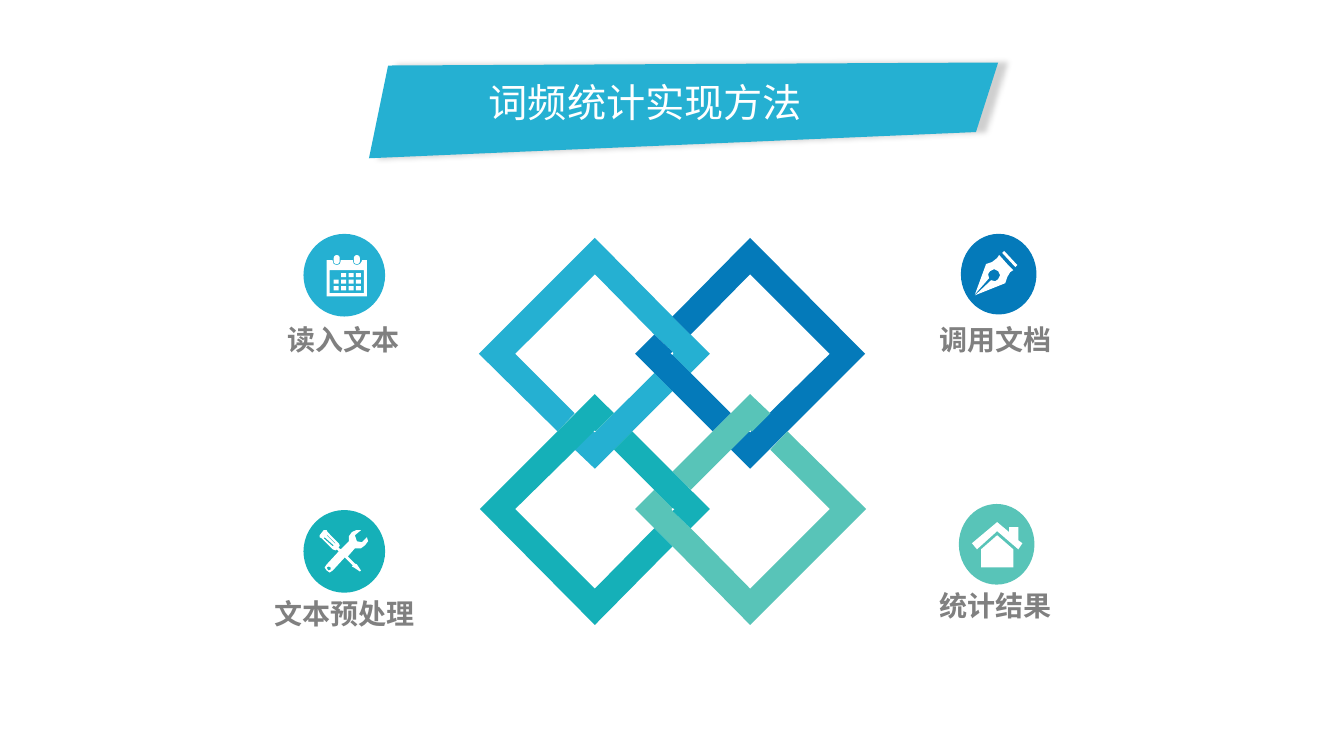
from lxml import etree
from pptx import Presentation
from pptx.dml.color import RGBColor
from pptx.enum import shapes, text
from pptx.oxml import ns
from pptx.util import Cm, Pt

INCH = 2.54
FONT = "Noto Sans CJK SC"
HUES = {
    "sky": "25B0D2", "blue": "047ABA", "mint": "58C4B8", "teal": "15B0B8",
    "white": "FFFFFF", "gray": "808080", "black": "000000",
}

BANNER = [[(385, 65), (366, 157), (968, 131), (990, 62)]]
UPPER_LEFT = [
    [(704, 351), (685, 370), (667, 352), (668, 351), (667, 349), (649, 332),
     (590, 272), (511, 351), (570, 410), (553, 428), (475, 351), (590, 236),
     (667, 314), (685, 332)],
    [(609, 410), (591, 428), (590, 429), (588, 428), (570, 446), (590, 465),
     (609, 446), (627, 428), (667, 388), (649, 370)],
]
UPPER_RIGHT = [
    [(725, 410), (707, 428), (667, 388), (649, 370), (630, 351), (649, 332),
     (667, 349), (665, 351), (667, 352), (685, 370)],
    [(744, 236), (667, 314), (685, 332), (744, 272), (823, 351), (763, 410),
     (745, 428), (744, 429), (743, 428), (725, 446), (744, 465), (763, 446),
     (781, 428), (858, 351)],
]
NIB = [[(999, 262), (991, 253), (989, 256), (984, 260), (978, 262), (967, 292),
        (981, 276), (980, 272), (982, 269), (986, 267), (990, 269), (992, 273),
        (990, 277), (987, 279), (983, 278), (967, 293), (997, 281), (999, 275),
        (1002, 270), (1005, 268)]]
CAP = [[(996, 249), (1009, 263), (1007, 265), (994, 251)]]
HOUSE = [[(973, 545), (973, 563), (1005, 563), (1005, 545), (989, 531)]]
ROOF = [[(1010, 536), (1010, 523), (1001, 523), (1001, 528), (989, 518),
         (964, 539), (969, 545), (989, 527), (1010, 545), (1014, 539)]]
PAGE = [
    [(364, 258), (359, 258), (359, 259), (357, 262), (354, 263), (351, 262),
     (350, 259), (350, 258), (338, 258), (338, 259), (337, 262), (334, 263),
     (331, 262), (330, 259), (330, 258), (324, 258), (324, 294), (364, 294)],
    [(361, 291), (327, 291), (327, 268), (361, 268)],
]
TOOLS = [
    [(317, 531), (321, 526), (324, 526), (325, 528), (336, 539), (337, 541),
     (336, 543), (335, 543), (338, 545), (346, 537), (346, 532), (349, 528),
     (353, 526), (358, 526), (352, 531), (354, 537), (359, 538), (364, 533),
     (365, 537), (362, 541), (358, 544), (352, 544), (345, 552), (352, 559),
     (354, 560), (358, 566), (357, 567), (351, 563), (349, 562), (350, 561),
     (342, 553), (330, 566), (327, 568), (324, 566), (322, 563), (324, 560),
     (336, 547), (334, 545), (333, 546), (330, 545), (319, 534), (317, 533)],
    [(326, 562), (324, 563), (325, 565), (326, 566), (328, 565), (328, 563)],
    [(332, 539), (333, 539), (325, 531), (324, 531)],
    [(330, 542), (331, 541), (322, 533), (321, 534)],
]


def inch(size):
    return Cm(size * INCH)


def paint(item, hue):
    item.shadow.inherit = False
    item.fill.solid()
    item.fill.fore_color.rgb = RGBColor.from_string(HUES[hue])
    item.line.fill.background()
    return item


def outline(slide, loops, hue):
    pen = slide.shapes.build_freeform(*loops[0][0], scale=inch(0.01))
    for loop in loops:
        pen.move_to(*loop[0])
        pen.add_line_segments(loop[1:], close=True)
    return paint(pen.convert_to_shape(), hue)


def preset(slide, kind, box, hue):
    return paint(slide.shapes.add_shape(kind, *map(inch, box)), hue)


def label(slide, words, box, size, hue, bold=False, align=text.PP_ALIGN.CENTER):
    item = slide.shapes.add_textbox(*map(inch, box))
    item.text_frame.word_wrap = False
    para = item.text_frame.paragraphs[0]
    para.text = words
    para.alignment = align
    font = para.font
    font.name, font.size, font.bold = FONT, Pt(size), bold
    font.color.rgb = RGBColor.from_string(HUES[hue])
    for props in item.element.xpath(".//a:defRPr"):
        etree.SubElement(props, ns.qn("a:ea"), typeface=FONT)


def shade(item):
    effects = item.element.spPr.find(ns.qn("a:effectLst"))
    drop = etree.SubElement(effects, ns.qn("a:outerShdw"), blurRad=str(Pt(4)),
                            dist=str(Pt(6)), dir="0", algn="l", rotWithShape="0")
    tint = etree.SubElement(drop, ns.qn("a:srgbClr"), val=HUES["black"])
    etree.SubElement(tint, ns.qn("a:alpha"), val="19000")


def turn(loops):
    return [[(1334 - x, 856 - y) for x, y in loop] for loop in loops]


def dates(slide):
    outline(slide, PAGE, "white")
    for left in (3.31, 3.51):
        ring = preset(slide, shapes.MSO_SHAPE.ROUNDED_RECTANGLE,
                      (left, 2.53, 0.06, 0.09), "white")
        ring.adjustments[0] = 0.5
    for row in range(3):
        for col in range(4):
            if row or col:
                preset(slide, shapes.MSO_SHAPE.RECTANGLE,
                       (3.31 + col * 0.22 / 3, 2.71 + row * 0.13 / 2, 0.05, 0.04),
                       "white")


def main():
    deck = Presentation()
    deck.slide_width, deck.slide_height = inch(13.33), inch(7.5)
    slide = deck.slides.add_slide(deck.slide_layouts[6])

    shade(outline(slide, BANNER, "sky"))
    label(slide, "词频统计实现方法", (4.75, 0.73, 3.34, 0.57), 28, "white",
          align=text.PP_ALIGN.LEFT)

    for loops, hue in ((UPPER_LEFT, "sky"), (UPPER_RIGHT, "blue"),
                       (turn(UPPER_LEFT), "mint"), (turn(UPPER_RIGHT), "teal")):
        outline(slide, loops, hue)

    for words, hue, disc, spot in (
        ("调用文档", "blue", (9.53, 2.32, 0.75, 0.8), (9.09, 3.15, 1.57, 0.4)),
        ("统计结果", "mint", (9.51, 5, 0.75, 0.8), (9.09, 5.79, 1.57, 0.4)),
        ("读入文本", "sky", (3.01, 2.32, 0.81, 0.82), (2.55, 3.15, 1.71, 0.41)),
        ("文本预处理", "teal", (3.01, 5.06, 0.81, 0.82), (2.56, 5.87, 1.71, 0.41)),
    ):
        preset(slide, shapes.MSO_SHAPE.FLOWCHART_CONNECTOR, disc, hue)
        label(slide, words, spot, 20, "gray", bold=True)

    for icon in (NIB, CAP, HOUSE, ROOF, TOOLS):
        outline(slide, icon, "white")
    dates(slide)
    deck.save("out.pptx")


if __name__ == "__main__":
    main()
